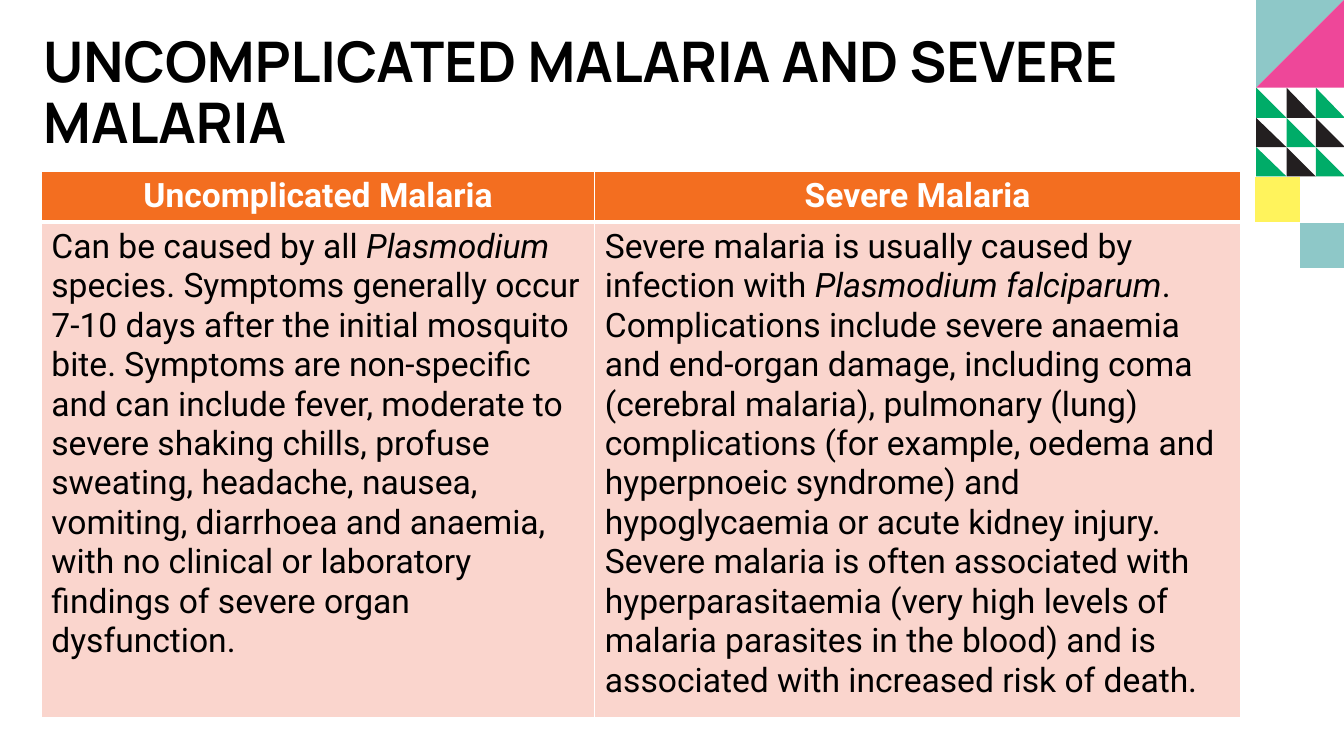
from dataclasses import dataclass

from lxml import etree
from pptx import Presentation
from pptx.dml.color import RGBColor
from pptx.enum.text import MSO_ANCHOR, PP_ALIGN
from pptx.oxml.ns import qn
from pptx.util import Pt

EMU_PER_PX = 9144  # 100 px to the inch
SLIDE_SIZE = (1333, 750)

BOTTOM = MSO_ANCHOR.BOTTOM
LEFT, CENTER = PP_ALIGN.LEFT, PP_ALIGN.CENTER

TITLE_FONT, BODY_FONT = "Manrope", "Roboto"
BLACK = RGBColor(0x00, 0x00, 0x00)
WHITE = RGBColor(0xFF, 0xFF, 0xFF)
YELLOW = RGBColor(0xFF, 0xF3, 0x5C)
TEAL = RGBColor(0x8E, 0xC8, 0xC8)
GREEN = RGBColor(0x00, 0xAC, 0x68)
CHARCOAL = RGBColor(0x23, 0x1F, 0x20)
MAGENTA = RGBColor(0xEE, 0x47, 0x99)
ORANGE = RGBColor(0xF3, 0x6E, 0x20)
PINK = RGBColor(0xFA, 0xD5, 0xCD)

TILE_X_EDGES = (1246, 1276, 1305, 1334)
TILE_Y_EDGES = (87, 117, 146, 175)
COLUMN_WIDTHS = (549, 640)
ROW_HEIGHTS = (49, 492)


@dataclass(frozen=True)
class Polygon:
    points: tuple[tuple[int, int], ...]
    color: RGBColor


@dataclass(frozen=True)
class TextRun:
    text: str
    italic: bool = False


@dataclass(frozen=True)
class RowStyle:
    fill: RGBColor
    text_color: RGBColor
    bold: bool
    alignment: PP_ALIGN
    border_points: dict[str, int]


HEADER = RowStyle(ORANGE, WHITE, True, CENTER, {"L": 1, "R": 1, "T": 1, "B": 3})
BODY = RowStyle(PINK, BLACK, False, LEFT, {"L": 1, "R": 1, "T": 3, "B": 1})

TABLE_ROWS = (
    (HEADER, ((TextRun("Uncomplicated Malaria"),), (TextRun("Severe Malaria"),))),
    (BODY, (
        (
            TextRun("Can be caused by all "),
            TextRun("Plasmodium ", italic=True),
            TextRun(
                "species. Symptoms generally occur 7-10 days after the initial "
                "mosquito bite. Symptoms are non-specific and can include fever, "
                "moderate to severe shaking chills, profuse sweating, headache, "
                "nausea, vomiting, diarrhoea and anaemia, with no clinical or "
                "laboratory findings of severe organ dysfunction."
            ),
        ),
        (
            TextRun("Severe malaria is usually caused by infection with "),
            TextRun("Plasmodium falciparum", italic=True),
            TextRun(
                ". Complications include severe anaemia and end-organ damage, "
                "including coma (cerebral malaria), pulmonary (lung) complications "
                "(for example, oedema and hyperpnoeic syndrome) and hypoglycaemia "
                "or acute kidney injury. Severe malaria is often associated with "
                "hyperparasitaemia (very high levels of malaria parasites in the "
                "blood) and is associated with increased risk of death."
            ),
        ),
    )),
)


def px(length: int) -> int:
    return length * EMU_PER_PX


def square(left: int, top: int, size: int, color: RGBColor) -> Polygon:
    right, bottom = left + size, top + size
    return Polygon(((left, top), (right, top), (right, bottom), (left, bottom)), color)


def triangle_tiles() -> list[Polygon]:
    """Three by three right triangles in alternating colours."""
    tiles = []
    for row, (top, bottom) in enumerate(zip(TILE_Y_EDGES, TILE_Y_EDGES[1:])):
        for column, (left, right) in enumerate(zip(TILE_X_EDGES, TILE_X_EDGES[1:])):
            color = CHARCOAL if (row + column) % 2 else GREEN
            tiles.append(Polygon(((left, top), (left, bottom), (right, bottom)), color))
    return tiles


def draw_polygon(slide, polygon: Polygon) -> None:
    builder = slide.shapes.build_freeform(*polygon.points[0], scale=EMU_PER_PX)
    builder.add_line_segments(polygon.points[1:], close=True)
    shape = builder.convert_to_shape()
    shape.shadow.inherit = False
    shape.fill.solid()
    shape.fill.fore_color.rgb = polygon.color
    shape.line.fill.background()


def add_run(paragraph, text_run: TextRun, font_name: str, size: int,
            color: RGBColor, bold: bool) -> None:
    run = paragraph.add_run()
    run.text = text_run.text
    run.font.name = font_name
    run.font.size = Pt(size)
    run.font.color.rgb = color
    run.font.bold = bold
    run.font.italic = text_run.italic


def draw_title(slide, text: str) -> None:
    box = slide.shapes.add_textbox(px(33), px(27), px(1089), px(132))
    frame = box.text_frame
    frame.word_wrap = True
    frame.vertical_anchor = BOTTOM
    paragraph = frame.paragraphs[0]
    paragraph.line_spacing = 0.9
    add_run(paragraph, TextRun(text), TITLE_FONT, 40, BLACK, True)


def set_borders(cell, border_points: dict[str, int]) -> None:
    """Insert white borders ahead of the cell fill, as the schema orders them."""
    properties = cell._tc.get_or_add_tcPr()
    for index, (side, points) in enumerate(border_points.items()):
        line = etree.Element(qn(f"a:ln{side}"), w=str(Pt(points)))
        fill = etree.SubElement(line, qn("a:solidFill"))
        etree.SubElement(fill, qn("a:srgbClr"), val=str(WHITE))
        properties.insert(index, line)


def draw_table(slide) -> None:
    table = slide.shapes.add_table(
        len(ROW_HEIGHTS), len(COLUMN_WIDTHS),
        px(41), px(170), px(sum(COLUMN_WIDTHS)), px(sum(ROW_HEIGHTS)),
    ).table
    for column, width in zip(table.columns, COLUMN_WIDTHS):
        column.width = px(width)
    for row, height, (style, contents) in zip(table.rows, ROW_HEIGHTS, TABLE_ROWS):
        row.height = px(height)
        for cell, text_runs in zip(row.cells, contents):
            cell.fill.solid()
            cell.fill.fore_color.rgb = style.fill
            set_borders(cell, style.border_points)
            paragraph = cell.text_frame.paragraphs[0]
            paragraph.alignment = style.alignment
            for text_run in text_runs:
                add_run(paragraph, text_run, BODY_FONT, 24, style.text_color, style.bold)


def main() -> None:
    presentation = Presentation()
    presentation.slide_width, presentation.slide_height = map(px, SLIDE_SIZE)
    slide = presentation.slides.add_slide(presentation.slide_layouts[6])
    decoration = [
        square(1245, 176, 44, YELLOW),
        square(1289, 221, 45, TEAL),
        *triangle_tiles(),
        Polygon(((1246, 0), (1246, 87), (1333, 0)), TEAL),
        Polygon(((1246, 87), (1333, 87), (1333, 0)), MAGENTA),
    ]
    for polygon in decoration:
        draw_polygon(slide, polygon)
    draw_title(slide, "UNCOMPLICATED MALARIA AND SEVERE MALARIA")
    draw_table(slide)
    presentation.save("out.pptx")


if __name__ == "__main__":
    main()
